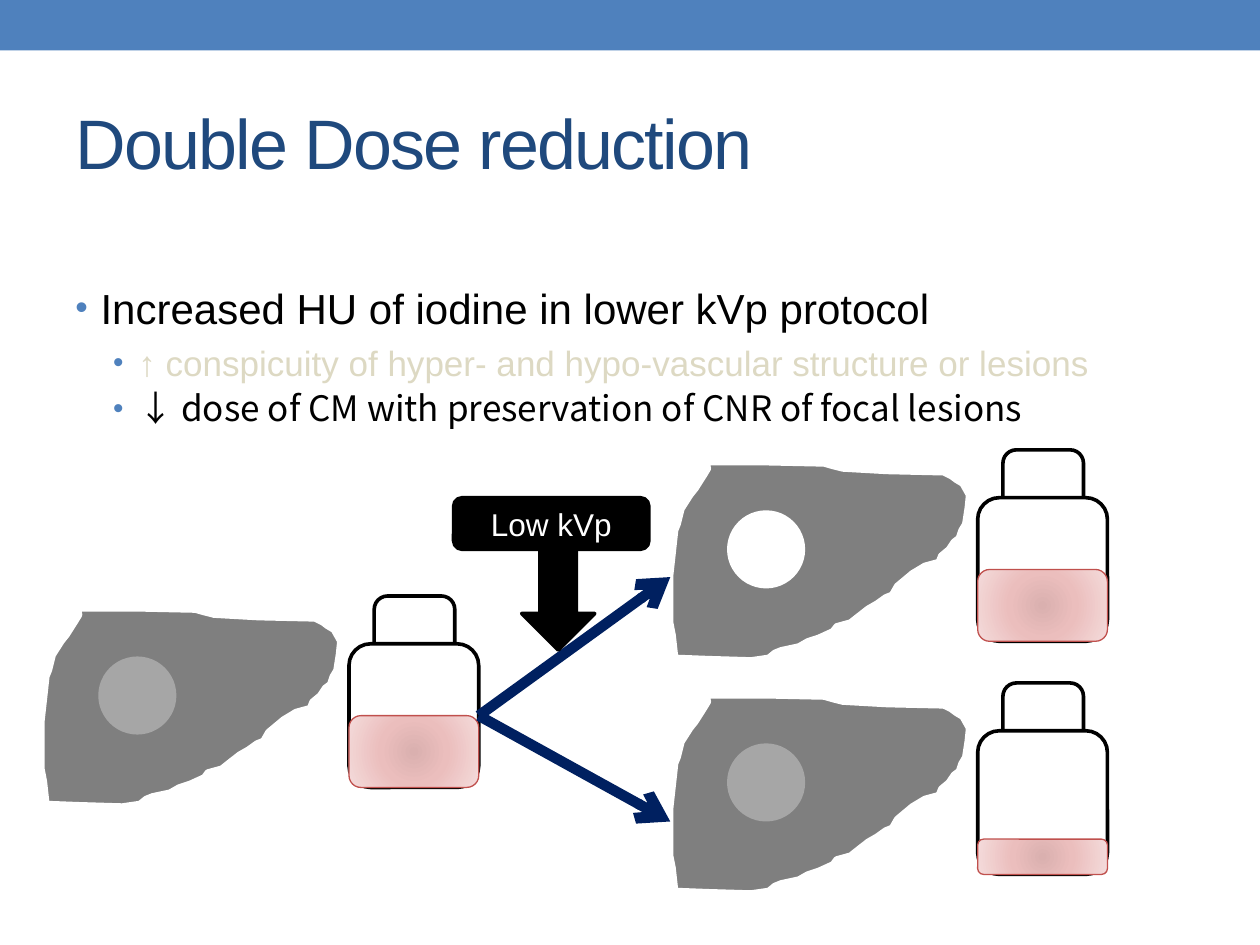
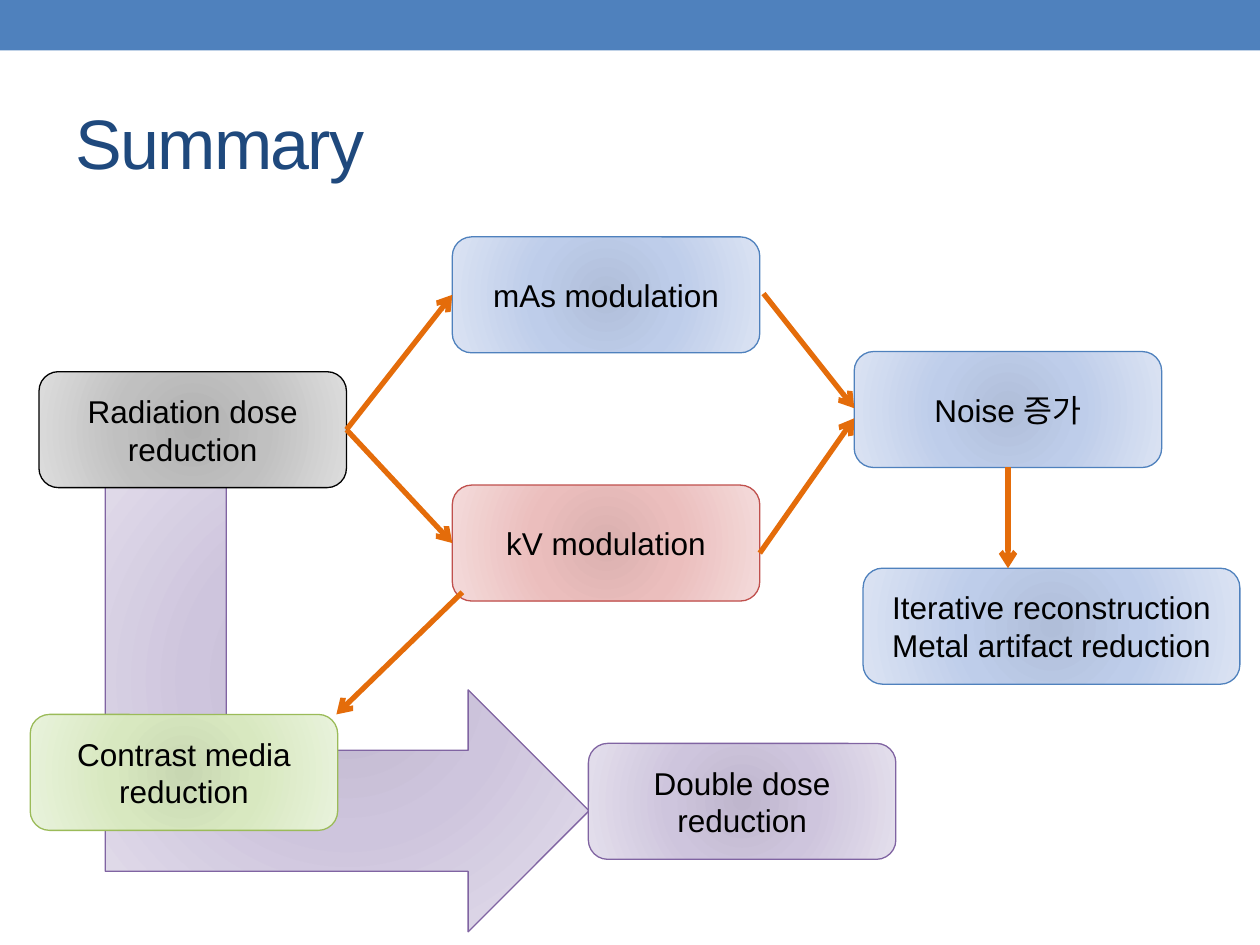
import pptx
import pptx.dml.color
import pptx.enum.shapes
import pptx.enum.text
import pptx.oxml
import pptx.oxml.ns
import pptx.util

Inches = pptx.util.Inches
Pt = pptx.util.Pt
Shapes = pptx.enum.shapes.MSO_SHAPE
Align = pptx.enum.text.PP_ALIGN
Anchor = pptx.enum.text.MSO_ANCHOR
qn = pptx.oxml.ns.qn
NAMESPACE = pptx.oxml.ns.nsdecls("a")

COLORS = {
    "band": "4F81BD", "title": "1F497D", "black": "000000", "white": "FFFFFF",
    "faded": "DDD9C3", "lesion": "A6A6A6", "navy": "002060", "orange": "E46C0A",
}
# Radial gradients: (centre, middle, edge, outline)
TINTS = {
    "gray": ("B1B1B1", "C0C0C0", "DDDDDD", "000000"),
    "blue": ("B0BED9", "BECDEA", "DBE3F3", "4F81BD"),
    "red": ("DAB0AF", "EBBEBD", "F4DBDB", "C0504D"),
    "green": ("C8D7B2", "D8E8C0", "E9F3DC", "9BBB59"),
    "purple": ("BFB6CD", "CEC5DD", "E4DFEC", "8064A2"),
}
LATIN, KOREAN = "Arial", "Noto Sans CJK KR"

# Slide 1: text, left margin, size, font, colour, space before
BULLETS = [
    ("Increased HU of iodine in lower kVp protocol", 0.2, 24, LATIN, "black", 0),
    ("↑ conspicuity of hyper- and hypo-vascular structure or lesions",
     0.5, 20, LATIN, "faded", 5),
    ("↓ dose of CM with preservation of CNR of focal lesions",
     0.5, 20, KOREAN, "black", 2),
]
# Scans: liver left, liver top, lesion colour, height of contrast medium
SCANS = [
    (0.33, 4.83, "lesion", 0.57),
    (5.32, 3.67, "white", 0.57),
    (5.32, 5.52, "lesion", 0.28),
]
DOSE_ARROW_ENDS = [(5.32, 4.58), (5.32, 6.52)]
LIVER_OUTLINE = [
    (0.29, 0), (0.76, 0), (1.22, 0.01), (1.29, 0.03), (1.37, 0.05), (1.72, 0.07),
    (2.17, 0.08), (2.23, 0.11), (2.27, 0.14), (2.32, 0.17), (2.37, 0.26),
    (2.36, 0.36), (2.34, 0.49), (2.31, 0.54), (2.29, 0.6), (2.25, 0.63),
    (2.21, 0.69), (2.15, 0.74), (2.13, 0.79), (2.02, 0.82), (1.92, 0.88),
    (1.8, 0.98), (1.76, 1.05), (1.71, 1.07), (1.64, 1.12), (1.57, 1.16),
    (1.48, 1.23), (1.43, 1.27), (1.32, 1.3), (1.29, 1.34), (1.18, 1.39),
    (1.09, 1.42), (1.02, 1.46), (0.88, 1.49), (0.83, 1.51), (0.78, 1.55),
    (0.64, 1.57), (0.3, 1.56), (0.04, 1.55), (0.02, 1.37), (0, 1.27), (0, 0.9),
    (0.04, 0.54), (0.06, 0.49), (0.09, 0.37), (0.16, 0.26), (0.2, 0.21),
    (0.27, 0.1), (0.3, 0.05),
]

# Slide 2: name, left, top, width, tint, lines
BOX_WIDTH, BOX_HEIGHT = 2.44, 0.92
BOXES = [
    ("double", 4.67, 5.9, BOX_WIDTH, "purple", ["Double dose reduction"]),
    ("radiation", 0.31, 2.95, BOX_WIDTH, "gray", ["Radiation dose reduction"]),
    ("mas", 3.59, 1.88, BOX_WIDTH, "blue", ["mAs modulation"]),
    ("kv", 3.59, 3.85, BOX_WIDTH, "red", ["kV modulation"]),
    ("noise", 6.78, 2.79, BOX_WIDTH, "blue", ["Noise 증가"]),
    ("iterative", 6.85, 4.51, 2.99, "blue",
     ["Iterative reconstruction", "Metal artifact reduction"]),
    ("contrast", 0.24, 5.67, BOX_WIDTH, "green", ["Contrast media reduction"]),
]
# Arrow ends are points or (box name, connection site)
FLOW_ARROWS = [
    (("radiation", 3), ("mas", 1)),
    (("radiation", 3), ("kv", 1)),
    ((6.06, 2.33), (6.78, 3.24)),
    ((6.03, 4.39), (6.78, 3.32)),
    (("noise", 2), (8, 4.51)),
    ((3.67, 4.7), (2.67, 5.67)),
]


def rgb(name):
    return pptx.dml.color.RGBColor.from_string(COLORS.get(name, name))


def style_font(paragraph, size, color, font=LATIN):
    paragraph.font.name = font
    paragraph.font.size = Pt(size)
    paragraph.font.color.rgb = rgb(color)


def set_line(shape, color, width):
    shape.line.color.rgb = rgb(color)
    shape.line.width = Pt(width)


def add_solid(slide, kind, left, top, width, height, fill, line=None):
    shape = slide.shapes.add_shape(
        kind, Inches(left), Inches(top), Inches(width), Inches(height))
    shape.shadow.inherit = False
    shape.fill.solid()
    shape.fill.fore_color.rgb = rgb(fill)
    if line:
        set_line(shape, line, 2.08)
    else:
        shape.line.fill.background()
    return shape


def add_tinted(slide, kind, left, top, width, height, tint):
    *stops, outline = TINTS[tint]
    shape = add_solid(slide, kind, left, top, width, height, stops[0])
    set_line(shape, outline, 0.75)
    stop_xml = "".join(
        f'<a:gs pos="{position}"><a:srgbClr val="{color}"/></a:gs>'
        for position, color in zip((0, 45000, 100000), stops))
    gradient = pptx.oxml.parse_xml(
        f'<a:gradFill {NAMESPACE} rotWithShape="1"><a:gsLst>{stop_xml}</a:gsLst>'
        '<a:path path="circle"><a:fillToRect l="100000" t="100000" r="100000" '
        'b="100000"/></a:path></a:gradFill>')
    properties = shape._element.spPr
    properties.replace(properties.find(qn("a:solidFill")), gradient)
    return shape


def add_label(shape, lines, color="black"):
    frame = shape.text_frame
    frame.word_wrap = True
    frame.vertical_anchor = Anchor.MIDDLE
    frame.text = "\n".join(lines)
    for paragraph in frame.paragraphs:
        paragraph.alignment = Align.CENTER
        style_font(paragraph, 18, color)


def add_arrow(slide, begin, end, color, width, boxes):
    """Draw an arrow; an end that names a box is joined to it."""
    points = [(0, 0) if point[0] in boxes else point for point in (begin, end)]
    connector = slide.shapes.add_connector(
        pptx.enum.shapes.MSO_CONNECTOR.STRAIGHT,
        *[Inches(value) for point in points for value in point])
    if begin[0] in boxes:
        connector.begin_connect(boxes[begin[0]], begin[1])
    if end[0] in boxes:
        connector.end_connect(boxes[end[0]], end[1])
    set_line(connector, color, width)
    properties = connector._element.spPr
    properties.find(qn("a:ln")).append(
        pptx.oxml.parse_xml(f'<a:tailEnd {NAMESPACE} type="arrow"/>'))
    properties.append(pptx.oxml.parse_xml(f"<a:effectLst {NAMESPACE}/>"))


def add_slide(presentation, title_text):
    """Start a slide with the shared top band and title."""
    slide = presentation.slides.add_slide(presentation.slide_layouts[5])
    add_solid(slide, Shapes.RECTANGLE, 0, 0, 10, 0.4, "band")
    title = slide.shapes.title
    title.left, title.top = Inches(0.5), Inches(0.58)
    title.width, title.height = Inches(9), Inches(1.08)
    title.text_frame.text = title_text
    title.text_frame.vertical_anchor = Anchor.MIDDLE
    paragraph = title.text_frame.paragraphs[0]
    paragraph.alignment = Align.LEFT
    style_font(paragraph, 40, "title")
    paragraph.runs[0]._r.get_or_add_rPr().set("spc", "-100")
    return slide


def add_bullets(slide):
    body = slide.shapes.add_textbox(Inches(0.5), Inches(2.19), Inches(9), Inches(1.3))
    frame = body.text_frame
    frame.word_wrap = True
    frame.text = "\n".join(bullet[0] for bullet in BULLETS)
    for paragraph, (_, margin, size, font, color, space) in zip(frame.paragraphs, BULLETS):
        paragraph.space_before = Pt(space)
        properties = paragraph._p.get_or_add_pPr()
        properties.set("marL", str(Inches(margin)))
        properties.set("indent", str(Inches(-0.2)))
        for xml in (f'<a:buClr {NAMESPACE}><a:srgbClr val="{COLORS["band"]}"/></a:buClr>',
                    f'<a:buSzPct {NAMESPACE} val="85000"/>',
                    f'<a:buFont {NAMESPACE} typeface="{LATIN}"/>',
                    f'<a:buChar {NAMESPACE} char="•"/>'):
            properties.append(pptx.oxml.parse_xml(xml))
        style_font(paragraph, size, color, font)
        if font == KOREAN:
            paragraph.runs[0]._r.get_or_add_rPr().append(
                pptx.oxml.parse_xml(f'<a:ea {NAMESPACE} typeface="{font}"/>'))


def add_liver(slide, left, top):
    points = [(Inches(left + x), Inches(top + y)) for x, y in LIVER_OUTLINE]
    builder = slide.shapes.build_freeform(*points[0])
    builder.add_line_segments(points[1:], close=True)
    liver = builder.convert_to_shape()
    liver.shadow.inherit = False
    liver.fill.solid()
    liver.fill.fore_color.rgb = rgb("black")
    set_line(liver, "white", 3.5)
    fill_color = liver._element.spPr.find(qn("a:solidFill"))[0]
    fill_color.append(pptx.oxml.parse_xml(f'<a:alpha {NAMESPACE} val="50000"/>'))


def add_scan(slide, left, top, lesion, medium_height):
    """Draw a liver with its lesion and a bottle; return the bottle."""
    bottle_left, bottle_top = left + 2.44, top + 0.28
    bottle_width, bottle_height = 1.03, 1.14
    add_solid(slide, Shapes.ROUNDED_RECTANGLE, bottle_left + 0.2, bottle_top - 0.38,
              0.64, 1.01, "white", "black")
    add_liver(slide, left, top)
    add_solid(slide, Shapes.OVAL, left + 0.45, top + 0.38, 0.62, 0.62, lesion)
    bottle = add_solid(slide, Shapes.ROUNDED_RECTANGLE, bottle_left, bottle_top,
                       bottle_width, bottle_height, "white", "black")
    add_tinted(slide, Shapes.ROUNDED_RECTANGLE, bottle_left,
               bottle_top + bottle_height - medium_height,
               bottle_width, medium_height, "red")
    return bottle


def build_dose_slide(presentation):
    slide = add_slide(presentation, "Double Dose reduction")
    add_bullets(slide)
    bottles = [add_scan(slide, *scan) for scan in SCANS]
    for end in DOSE_ARROW_ENDS:
        add_arrow(slide, ("source", 3), end, "navy", 6, {"source": bottles[0]})
    # Low kVp callout
    add_solid(slide, Shapes.DOWN_ARROW, 4.14, 4.36, 0.58, 0.8, "black", "black")
    callout = add_solid(slide, Shapes.ROUNDED_RECTANGLE, 3.6, 3.95, 1.55, 0.41,
                        "black", "black")
    add_label(callout, ["Low kVp"], "white")


def build_summary_slide(presentation):
    slide = add_slide(presentation, "Summary")
    bent_arrow = add_tinted(slide, Shapes.BENT_UP_ARROW, 0.76, 3.48, 3.99, 3.84, "purple")
    bent_arrow.rotation = 90
    boxes = {}
    for name, left, top, width, tint, lines in BOXES:
        boxes[name] = add_tinted(slide, Shapes.ROUNDED_RECTANGLE, left, top,
                                 width, BOX_HEIGHT, tint)
        add_label(boxes[name], lines)
    for begin, end in FLOW_ARROWS:
        add_arrow(slide, begin, end, "orange", 3, boxes)


def main():
    presentation = pptx.Presentation()
    presentation.slide_width, presentation.slide_height = Inches(10), Inches(7.5)
    build_dose_slide(presentation)
    build_summary_slide(presentation)
    presentation.save("out.pptx")


if __name__ == "__main__":
    main()
